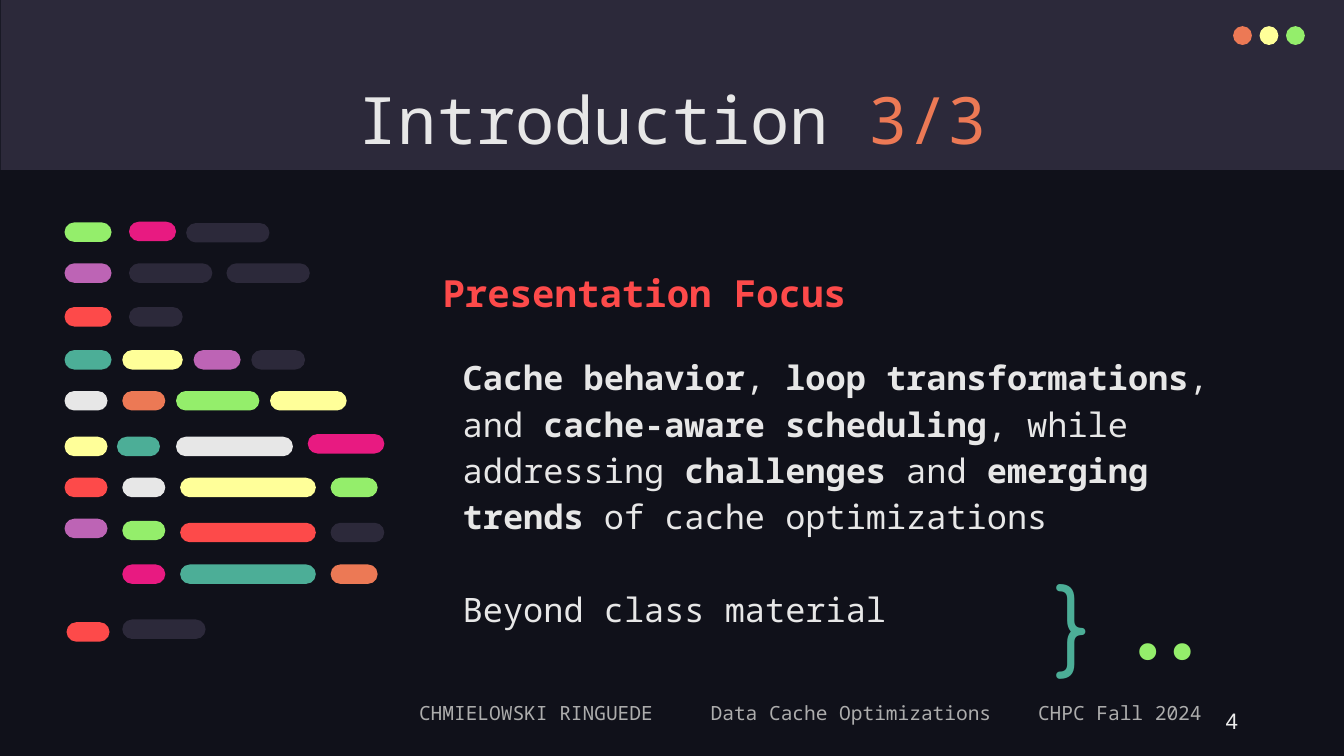
from typing import NamedTuple

from lxml.etree import SubElement
from pptx import Presentation
from pptx.dml.color import RGBColor
from pptx.enum.shapes import MSO_SHAPE as Shape
from pptx.enum.text import MSO_ANCHOR as Anchor, PP_ALIGN as Align
from pptx.oxml.ns import qn
from pptx.util import Inches, Pt

UNIT = Inches(0.1)  # one grid cell; the slide is 100 columns by 56.25 rows
COLS, ROWS = 100, 56.25
MONO = "Noto Sans Mono"
HUES = {
    "back": "10111A", "dark": "2C293A", "light": "E7E7E7", "grey": "ADADAD",
    "white": "ECECEC", "orange": "EC7955", "yellow": "FFFF99",
    "green": "94EE6B", "pink": "E81A81", "purple": "BD64B5",
    "red": "FD4A4A", "teal": "4CAE97",
}


class Box(NamedTuple):
    col: float
    row: float
    wide: float
    high: float


class Bar(NamedTuple):
    col: float
    row: float
    wide: float
    hue: str


class Part(NamedTuple):
    text: str
    hue: str = "light"
    bold: bool = False


BARS = [
    Bar(4.8, 16.55, 3.5, "green"), Bar(9.6, 16.5, 3.5, "pink"),
    Bar(13.85, 16.6, 6.2, "dark"),
    Bar(4.8, 19.6, 3.5, "purple"), Bar(9.6, 19.6, 6.2, "dark"),
    Bar(16.85, 19.6, 6.2, "dark"),
    Bar(4.8, 22.85, 3.5, "red"), Bar(9.6, 22.85, 4, "dark"),
    Bar(4.8, 26.05, 3.5, "teal"), Bar(9.1, 26.05, 4.5, "yellow"),
    Bar(14.4, 26.05, 3.5, "purple"), Bar(18.7, 26.05, 4, "dark"),
    Bar(4.8, 29.1, 3.2, "light"), Bar(9.1, 29.1, 3.2, "orange"),
    Bar(13.1, 29.1, 6.2, "green"), Bar(20.1, 29.1, 5.7, "yellow"),
    Bar(4.8, 32.5, 3.2, "yellow"), Bar(8.7, 32.5, 3.2, "teal"),
    Bar(13.1, 32.5, 8.7, "light"), Bar(22.9, 32.3, 5.7, "pink"),
    Bar(4.8, 35.55, 3.2, "red"), Bar(9.1, 35.55, 3.2, "light"),
    Bar(13.4, 35.55, 10.1, "yellow"), Bar(24.6, 35.55, 3.5, "green"),
    Bar(4.8, 38.6, 3.2, "purple"), Bar(9.1, 38.75, 3.2, "green"),
    Bar(13.4, 38.9, 10.1, "red"), Bar(24.6, 38.9, 4, "dark"),
    Bar(9.1, 42, 3.2, "pink"), Bar(13.4, 42, 10.1, "teal"),
    Bar(24.6, 42, 3.5, "orange"),
    Bar(4.95, 46.3, 3.2, "red"), Bar(9.1, 46.1, 6.2, "dark"),
]
FOCUS = [
    Part("Cache behavior", bold=True), Part(", "),
    Part("loop transformations", bold=True), Part(", and "),
    Part("cache-aware scheduling", bold=True), Part(", while addressing "),
    Part("challenges", bold=True), Part(" and "),
    Part("emerging trends ", bold=True), Part("of cache optimizations"),
]


def color(hue: str) -> RGBColor:
    return RGBColor.from_string(HUES[hue])


def scale(box: Box) -> list[int]:
    return [round(n * UNIT) for n in box]


def draw(shapes, kind, box: Box, hue: str):
    shape = shapes.add_shape(kind, *scale(box))
    shape.shadow.inherit = False
    shape.fill.solid()
    shape.fill.fore_color.rgb = color(hue)
    shape.line.fill.background()
    return shape


def setup(frame, anchor=Anchor.TOP):
    """Wrap the frame and give it even insets."""
    frame.word_wrap = True
    frame.vertical_anchor = anchor
    frame.margin_left = frame.margin_right = UNIT
    frame.margin_top = frame.margin_bottom = UNIT
    return frame


def write(para, parts: list[Part], size: float, font: str = MONO,
          align=Align.LEFT) -> None:
    para.alignment = align
    for part in parts:
        run = para.add_run()
        run.text = part.text
        run.font.size = Pt(size)
        run.font.name = font
        run.font.bold = part.bold
        run.font.color.rgb = color(part.hue)


def label(slide, box: Box, part: Part, size: float, font: str = MONO,
          align=Align.LEFT, anchor=Anchor.TOP):
    frame = setup(slide.shapes.add_textbox(*scale(box)).text_frame, anchor)
    write(frame.paragraphs[0], [part], size, font, align)
    return frame.paragraphs[0]


def add_tabs(para, stops: list[float]) -> None:
    tabs = SubElement(para._p.get_or_add_pPr(), qn("a:tabLst"))
    for stop in stops:
        SubElement(tabs, qn("a:tab"), pos=str(round(stop * UNIT)), algn="l")


def add_head(slide) -> None:
    draw(slide.shapes, Shape.RECTANGLE, Box(0.05, 0, COLS, 12.65), "dark")
    dots = slide.shapes.add_group_shape().shapes
    for i, hue in enumerate(("orange", "yellow", "green")):
        draw(dots, Shape.OVAL, Box(91.75 + 1.97 * i, 1.95, 1.4, 1.4), hue)
    title = slide.shapes.title
    title.element.getparent().append(title.element)  # in front of the band
    title.left, title.top, title.width, title.height = scale(
        Box(7.9, 4.9, 84.3, 6.3))
    para = setup(title.text_frame).paragraphs[0]
    write(para, [Part("Introduction "), Part("3/3", "orange")], 35,
          align=Align.CENTER)


def add_bars(slide) -> None:
    group = slide.shapes.add_group_shape().shapes
    for bar in BARS:
        box = Box(bar.col, bar.row, bar.wide, 1.45)
        draw(group, Shape.ROUNDED_RECTANGLE, box, bar.hue).adjustments[0] = 0.5


def add_body(slide) -> None:
    box = slide.shapes.add_textbox(*scale(Box(31.95, 18.6, 64.6, 31.3)))
    frame = setup(box.text_frame)
    head = frame.paragraphs[0]
    write(head, [Part("Presentation Focus", "red", True)], 20)
    head.line_spacing = 1.15
    for parts, gap in ((FOCUS, 19.4), ([Part("Beyond class material")], 24.9)):
        para = frame.add_paragraph()
        write(para, parts, 18)
        para.line_spacing = 1.15
        para.space_before = Pt(gap)
        para._p.get_or_add_pPr().set("marL", str(round(1.5 * UNIT)))


def add_foot(slide) -> None:
    text = "CHMIELOWSKI RINGUEDE\tData Cache Optimizations\tCHPC Fall 2024"
    para = label(slide, Box(30.2, 50.9, 64, 4), Part(text, "grey"), 10.5)
    para.line_spacing = 1.15
    add_tabs(para, [21.7, 46.05])
    label(slide, Box(70.6, 52.1, 22.5, 3), Part("4", "white"), 12, "Arial",
          Align.RIGHT, Anchor.MIDDLE)


def main() -> None:
    deck = Presentation()
    deck.slide_width, deck.slide_height = COLS * UNIT, round(ROWS * UNIT)
    slide = deck.slides.add_slide(deck.slide_layouts.get_by_name("Title Only"))
    slide.background.fill.solid()
    slide.background.fill.fore_color.rgb = color("back")
    add_head(slide)
    add_bars(slide)
    label(slide, Box(77.55, 41, 5.7, 8.3), Part("}", "teal"), 50, "Comfortaa")
    label(slide, Box(81.25, 43.3, 10.7, 6), Part("..", "green"), 50,
          "Fira Code", Align.RIGHT, Anchor.MIDDLE)
    add_body(slide)
    add_foot(slide)
    deck.save("out.pptx")


if __name__ == "__main__":
    main()
